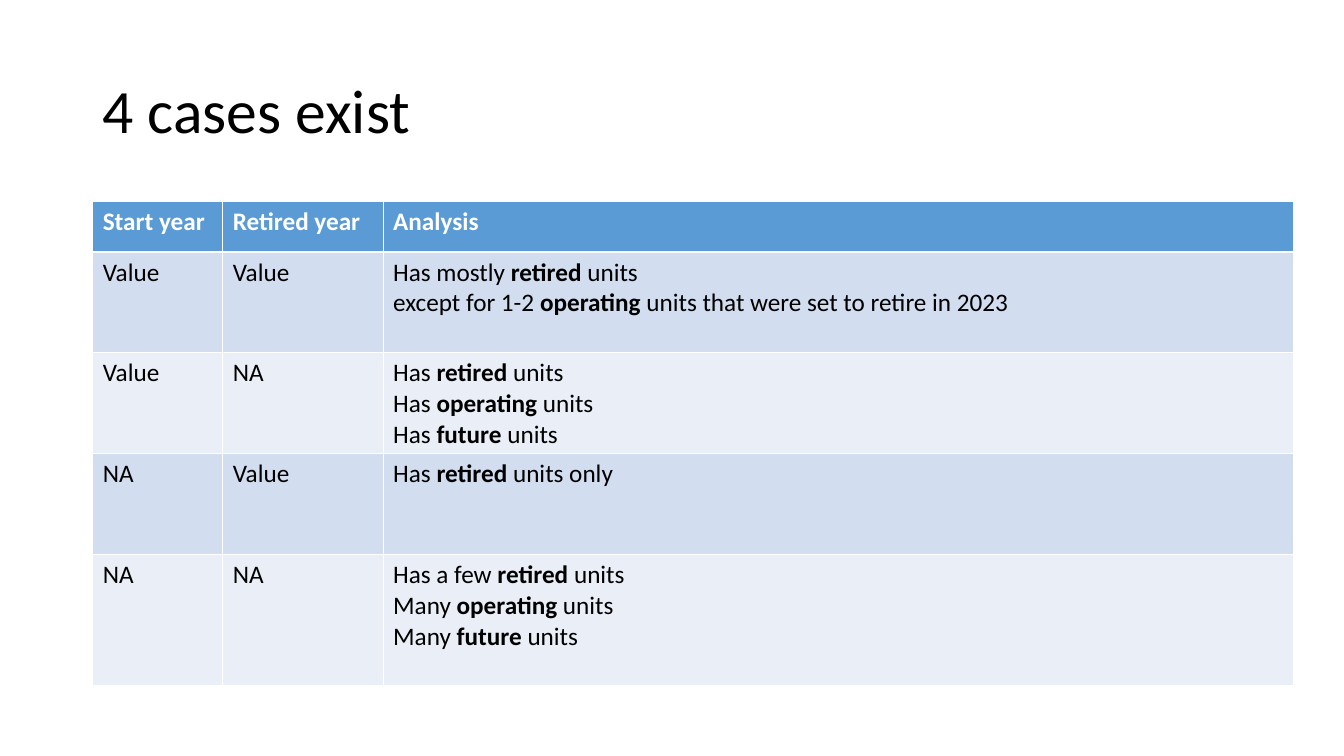
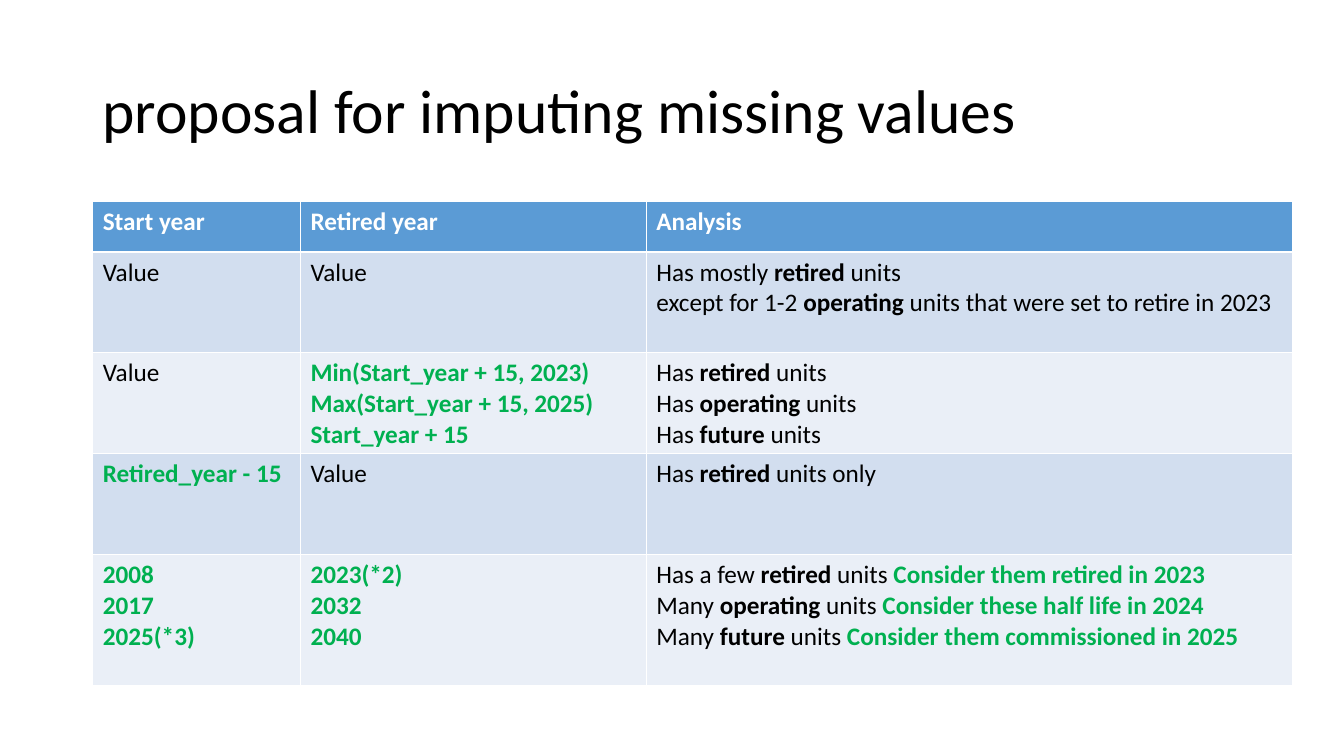
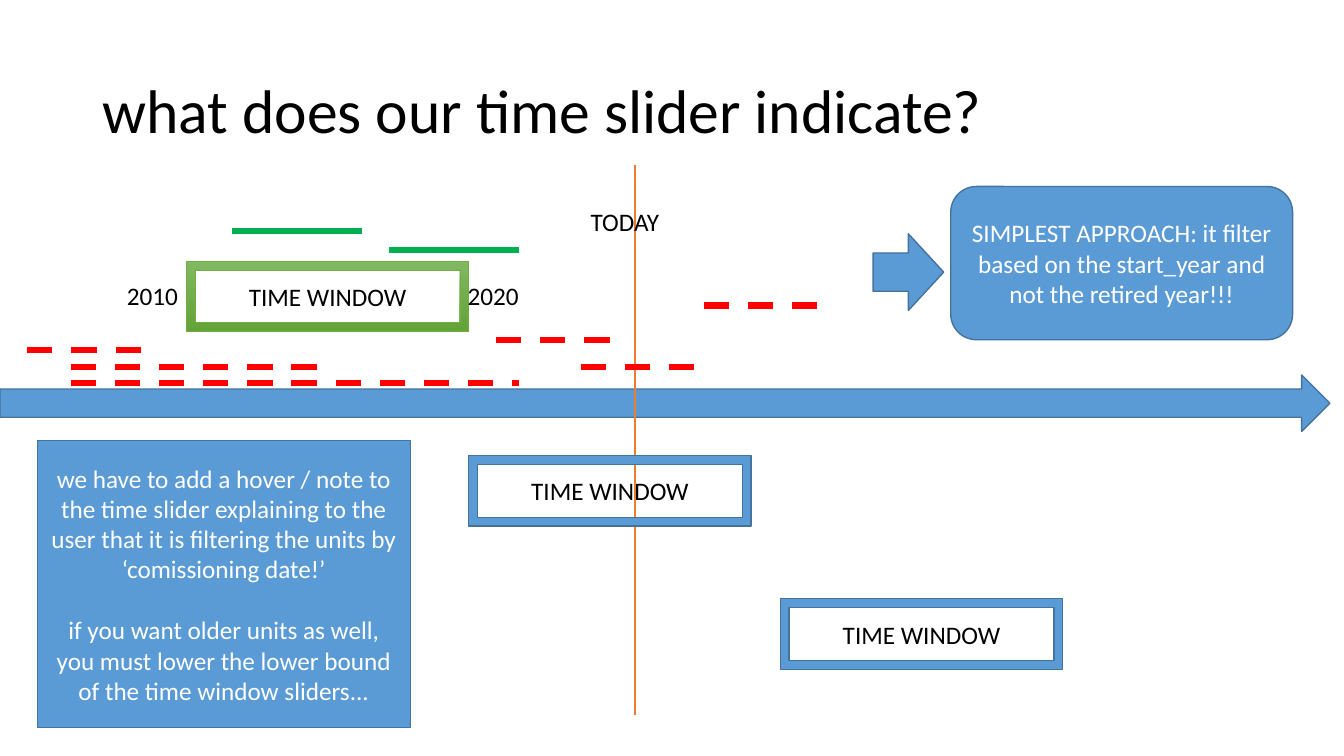
from collections import namedtuple
from dataclasses import dataclass

from lxml.etree import SubElement
from pptx import Presentation
from pptx.dml.color import RGBColor
from pptx.enum.dml import MSO_LINE
from pptx.enum.shapes import MSO_CONNECTOR, MSO_SHAPE as SHAPE
from pptx.enum.text import MSO_ANCHOR as ANCHOR, PP_ALIGN as ALIGN
from pptx.oxml.ns import qn
from pptx.util import Inches, Pt


@dataclass(frozen=True)
class Theme:
    font: str = "Calibri"
    title_size: int = 44
    body_size: int = 18
    text: str = "000000"
    light: str = "FFFFFF"
    blue: str = "5B9BD5"
    blue_edge: str = "43739E"
    bands: tuple = ("D2DEEF", "EAEFF7")
    imputed: str = "00B050"
    today: str = "ED7D31"
    removed: str = "FF0000"
    window: tuple = ("81B861", "62A336")
    window_edge: str = "70AD47"


THEME = Theme()
TITLE_BOX = (0.92, 0.4, 11.5, 1.45)
TABLE_ORIGIN = (0.92, 2)
ROW_HEIGHTS = (0.5, 1, 1, 1, 1.3)


class Box(namedtuple("Box", "left top width height")):
    def inner(self, left, top, width, height):
        """Box placed relative to this box's top left corner."""
        return Box(self.left + left, self.top + top, width, height)

    def lengths(self):
        return [Inches(value) for value in self]


def rgb(color):
    return RGBColor.from_string(color)


def style_font(font, color, size=THEME.body_size, bold=False):
    font.name, font.size, font.bold = THEME.font, Pt(size), bold
    font.color.rgb = rgb(color)


# Each line of a table cell is a list of (text, kind) spans.
def plain(text):
    return [[(text, "plain")]]


def imputed(*lines):
    return [[(text, "imputed")] for text in lines]


def units(before, status, after=" units", note=""):
    line = [(before, "plain"), (status, "bold"), (after, "plain")]
    return line + [(" " + note, "imputed")] if note else line


def add_label(page, box, text, size=THEME.body_size, anchor=ANCHOR.TOP):
    label = page.shapes.add_textbox(*box.lengths())
    frame = label.text_frame
    frame.word_wrap = True
    frame.vertical_anchor = anchor
    para = frame.paragraphs[0]
    para.text = text
    style_font(para.font, THEME.text, size)
    return para


def add_title(page, text):
    para = add_label(page, Box(*TITLE_BOX), text, THEME.title_size, ANCHOR.MIDDLE)
    para.line_spacing = 0.9


def add_block(page, kind, box, paragraphs=(), color=THEME.light):
    """Blue outlined shape with centred text."""
    block = page.shapes.add_shape(kind, *box.lengths())
    block.shadow.inherit = False
    block.fill.solid()
    block.fill.fore_color.rgb = rgb(THEME.blue)
    block.line.color.rgb = rgb(THEME.blue_edge)
    block.line.width = Pt(1)
    frame = block.text_frame
    frame.word_wrap = True
    frame.vertical_anchor = ANCHOR.MIDDLE
    for index, text in enumerate(paragraphs):
        para = frame.add_paragraph() if index else frame.paragraphs[0]
        para.text = text
        para.alignment = ALIGN.CENTER
        para.space_before = Pt(22 if index else 0)
        style_font(para.font, color)
    return block


def add_line(page, start, end, color, width, dashed=False):
    points = [Inches(value) for value in (*start, *end)]
    line = page.shapes.add_connector(MSO_CONNECTOR.STRAIGHT, *points)
    line.line.color.rgb = rgb(color)
    line.line.width = Pt(width)
    if dashed:
        line.line.dash_style = MSO_LINE.DASH
    SubElement(line._element.spPr, qn("a:effectLst"))


def fill_cell(cell, lines, fill, styles):
    cell.fill.solid()
    cell.fill.fore_color.rgb = rgb(fill)
    for index, line in enumerate(lines):
        frame = cell.text_frame
        para = frame.add_paragraph() if index else frame.paragraphs[0]
        for text, kind in line:
            span = para.add_run()
            span.text = text
            color, bold = styles[kind]
            style_font(span.font, color, bold=bold)


def add_case_table(page, origin, widths, rows):
    header = [plain(name) for name in ("Start year", "Retired year", "Analysis")]
    box = Box(*origin, sum(widths), sum(ROW_HEIGHTS))
    table = page.shapes.add_table(len(rows) + 1, len(widths), *box.lengths()).table
    for column, width in zip(table.columns, widths):
        column.width = Inches(width)
    for row, height in zip(table.rows, ROW_HEIGHTS):
        row.height = Inches(height)
    header_styles = {"plain": (THEME.light, True)}
    body_styles = {
        "plain": (THEME.text, False),
        "bold": (THEME.text, True),
        "imputed": (THEME.imputed, True),
    }
    for row_index, row in enumerate([header] + rows):
        fill = THEME.bands[(row_index - 1) % 2] if row_index else THEME.blue
        styles = body_styles if row_index else header_styles
        for column_index, lines in enumerate(row):
            fill_cell(table.cell(row_index, column_index), lines, fill, styles)


def case_analyses(notes=("", "", "")):
    """Analysis cells of the four cases, with notes on the last one."""
    statuses = ("retired", "operating", "future")
    openings = ("Has a few ", "Many ", "Many ")
    return [
        [units("Has mostly ", "retired"),
         units("except for 1-2 ", "operating", " units that were set to retire in 2023")],
        [units("Has ", status) for status in statuses],
        [units("Has ", "retired", " units only")],
        [units(opening, status, note=note)
         for opening, status, note in zip(openings, statuses, notes)],
    ]


def build_case_page(page, title, widths, years, analyses):
    add_title(page, title)
    rows = [[*pair, analysis] for pair, analysis in zip(years, analyses)]
    add_case_table(page, TABLE_ORIGIN, widths, rows)


def add_time_axis(page, box):
    add_block(page, SHAPE.RIGHT_ARROW, box.inner(0, 2.08, box.width, 0.56))
    add_line(page, (box.left + 6.3, box.top), (box.left + 6.3, box.top + box.height),
             THEME.today, 1.5)
    add_label(page, box.inner(5.76, 0.36, 1.42, 0.4), "TODAY")


def add_time_windows(page, box):
    offsets = ((0, 0), (2.8, 1.93), (5.89, 3.35))
    windows = [
        add_block(page, SHAPE.FRAME, box.inner(left, top, 2.8, 0.7), ["TIME WINDOW"], THEME.text)
        for left, top in offsets
    ]
    selected = windows[0]
    selected.fill.gradient()
    selected.fill.gradient_angle = 270
    for stop, color in zip(selected.fill.gradient_stops, THEME.window):
        stop.color.rgb = rgb(color)
    selected.line.color.rgb = rgb(THEME.window_edge)
    selected.line.width = Pt(0.5)
    for left, year in ((-0.69, "2010"), (2.69, "2020")):
        add_label(page, box.inner(left, 0.14, 0.9, 0.4), year)


def add_unit_lifespans(page, box):
    """Green bars for units the window selects, dashed red for the rest."""
    usual = 1.29
    selected = ((2.03, 0, usual), (3.59, 0.19, usual))
    removed = (
        (4.65, 1.08, usual), (5.49, 1.35, usual), (6.71, 0.74, usual),
        (0, 1.18, usual), (0.43, 1.35, 2.6), (0.43, 1.51, 4.45),
    )
    for spans, color, dashed in ((selected, THEME.imputed, False),
                                 (removed, THEME.removed, True)):
        for left, top, length in spans:
            x, y = box.left + left, box.top + top
            add_line(page, (x, y), (x + length, y), color, 4.5, dashed)


def add_callout(page, box, text):
    add_block(page, SHAPE.RIGHT_ARROW, box.inner(0, 0.47, 0.7, 0.76))
    add_block(page, SHAPE.ROUNDED_RECTANGLE,
              box.inner(0.77, 0, box.width - 0.77, box.height), [text])


def build_slider_page(page):
    add_title(page, "what does our time slider indicate?")
    add_time_axis(page, Box(0, 1.64, 13.19, 5.45))
    add_time_windows(page, Box(1.85, 2.59, 8.69, 4.05))
    add_callout(page, Box(8.66, 1.85, 4.16, 1.52),
                "SIMPLEST APPROACH: it filter based on the start_year and not the retired year!!!")
    add_unit_lifespans(page, Box(0.27, 2.29, 8, 1.51))
    add_block(page, SHAPE.RECTANGLE, Box(0.37, 4.37, 3.7, 2.85), [
        "we have to add a hover / note to the time slider explaining to the user "
        "that it is filtering the units by ‘comissioning date!’",
        "if you want older units as well, you must lower the lower bound "
        "of the time window sliders...",
    ])


def main():
    deck = Presentation()
    deck.slide_width, deck.slide_height = Inches(13.33), Inches(7.5)
    pages = [deck.slides.add_slide(deck.slide_layouts[6]) for _ in range(3)]
    value, missing = plain("Value"), plain("NA")
    build_case_page(
        pages[0], "4 cases exist", (1.29, 1.59, 9.03),
        [(value, value), (value, missing), (missing, value), (missing, missing)],
        case_analyses(),
    )
    build_case_page(
        pages[1], "proposal for imputing missing values", (2.06, 3.43, 6.41),
        [
            (value, value),
            (value, imputed("Min(Start_year + 15, 2023)", "Max(Start_year + 15, 2025)",
                            "Start_year + 15")),
            (imputed("Retired_year - 15"), value),
            (imputed("2008", "2017", "2025(*3)"), imputed("2023(*2)", "2032", "2040")),
        ],
        case_analyses(("Consider them retired in 2023", "Consider these half life in 2024",
                       "Consider them commissioned in 2025")),
    )
    build_slider_page(pages[2])
    deck.save("out.pptx")


if __name__ == "__main__":
    main()
